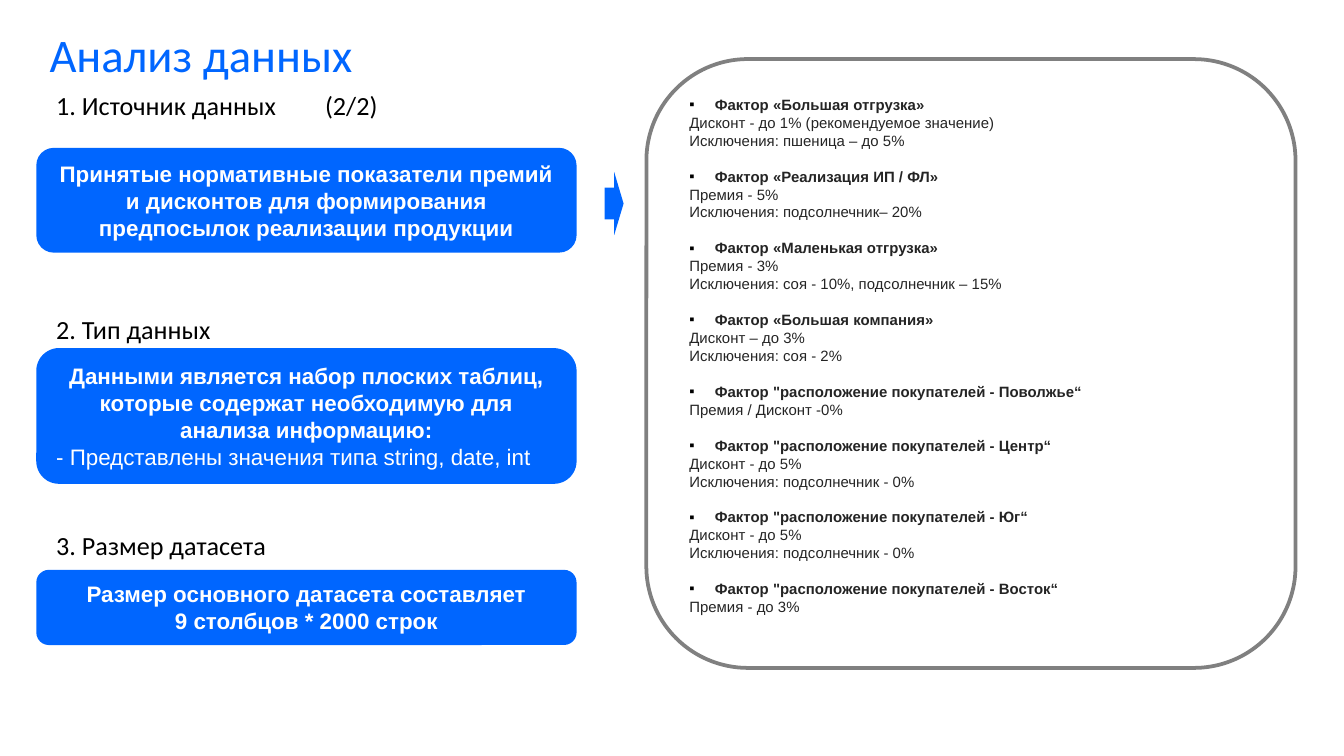
"""Build the data analysis slide: source, type and size beside the factor list."""
from dataclasses import dataclass

import pptx
import pptx.dml.color
import pptx.enum.shapes
import pptx.enum.text
import pptx.util
from lxml import etree
from pptx.oxml.ns import qn

Inches = pptx.util.Inches
Pt = pptx.util.Pt
Kind = pptx.enum.shapes.MSO_SHAPE
Align = pptx.enum.text.PP_ALIGN
Anchor = pptx.enum.text.MSO_ANCHOR


@dataclass(frozen=True)
class Theme:
    """Hold the colours, fonts and type sizes."""
    blue: str = "0066FF"
    white: str = "FFFFFF"
    black: str = "000000"
    ink: str = "242424"
    gray: str = "808080"
    head: str = "Calibri"
    body: str = "Arial"
    title: float = 25
    label: float = 14
    card: float = 12
    note: float = 8
    lead: float = 1.2


THEME = Theme()

CARDS = [
    (1.10, 0.78, ["Принятые нормативные показатели премий и дисконтов "
                  "для формирования предпосылок реализации продукции"], []),
    (2.59, 1.01, ["Данными является набор плоских таблиц, которые "
                  "содержат необходимую для анализа информацию:"],
     ["- Представлены значения типа string, date, int"]),
    (4.24, 0.56, ["Размер основного датасета составляет",
                  "9 столбцов * 2000 строк"], []),
]

FACTORS = [
    ("«Большая отгрузка»", "Дисконт - до 1% (рекомендуемое значение)",
     "Исключения: пшеница – до 5%"),
    ("«Реализация ИП / ФЛ»", "Премия - 5%", "Исключения: подсолнечник– 20%"),
    ("«Маленькая отгрузка»", "Премия - 3%",
     "Исключения: соя - 10%, подсолнечник – 15%"),
    ("«Большая компания»", "Дисконт – до 3%", "Исключения: соя - 2%"),
    ('"расположение покупателей - Поволжье“', "Премия / Дисконт -0%"),
    ('"расположение покупателей - Центр“', "Дисконт - до 5%",
     "Исключения: подсолнечник - 0%"),
    ('"расположение покупателей - Юг“', "Дисконт - до 5%",
     "Исключения: подсолнечник - 0%"),
    ('"расположение покупателей - Восток“', "Премия - до 3%"),
]


def rgb(code):
    """Turn a hex code into a colour."""
    return pptx.dml.color.RGBColor.from_string(code)


def write(frame, text, face, size, tint, bold=False, align=Align.LEFT, lead=None):
    """Append a styled paragraph, using the first one while it is empty."""
    para = frame.paragraphs[0]
    if para.text:
        para = frame.add_paragraph()
    para.text = text
    para.alignment = align
    para.line_spacing = lead or Pt(size * THEME.lead)
    font = para.font
    font.name, font.size, font.bold = face, Pt(size), bold
    font.color.rgb = rgb(tint)
    return para


def indent(para, left, first=0):
    """Set the left margin and first-line indent of a paragraph."""
    props = para._p.get_or_add_pPr()
    props.set("marL", str(Inches(left)))
    props.set("indent", str(Inches(first)))
    return props


def bullet(para):
    """Give a paragraph a hanging square bullet."""
    props = indent(para, 0.19, -0.19)
    tint = etree.Element(qn("a:buClr"))
    etree.SubElement(tint, qn("a:srgbClr"), val=THEME.black)
    face = etree.Element(qn("a:buFont"), typeface=THEME.body)
    mark = etree.Element(qn("a:buChar"), char="▪")
    spot = props.index(props.find(qn("a:defRPr")))
    props[spot:spot] = [tint, face, mark]


def field(slide, left, top, width, height, anchor=Anchor.TOP):
    """Add an empty text box and return its frame."""
    box = slide.shapes.add_textbox(
        Inches(left), Inches(top), Inches(width), Inches(height))
    frame = box.text_frame
    frame.word_wrap = True
    frame.vertical_anchor = anchor
    frame.margin_left = frame.margin_right = Inches(0.1)
    frame.margin_top = frame.margin_bottom = Inches(0.1)
    return frame


def label(frame, text, gap=0):
    """Add an indented section label below an optional gap in points."""
    para = write(frame, text, THEME.head, THEME.label, THEME.black,
                 align=Align.JUSTIFY, lead=1.15)
    para.space_before = Pt(gap)
    indent(para, 0.15)


def block(slide, kind, left, top, width, height, fill=None, line=None):
    """Add a flat preset shape with an optional fill and outline."""
    shape = slide.shapes.add_shape(
        kind, Inches(left), Inches(top), Inches(width), Inches(height))
    shape.shadow.inherit = False
    if fill:
        shape.fill.solid()
        shape.fill.fore_color.rgb = rgb(fill)
    else:
        shape.fill.background()
    if line:
        shape.line.color.rgb = rgb(line)
        shape.line.width = Pt(2)
    else:
        shape.line.fill.background()
    shape.text_frame.word_wrap = True
    return shape


def card(slide, top, height, heads, notes):
    """Add a blue card with bold centred lines and plain left ones."""
    shape = block(slide, Kind.ROUNDED_RECTANGLE, 0.27, top, 4.02, height, THEME.blue)
    frame = shape.text_frame
    frame.vertical_anchor = Anchor.MIDDLE
    for text in heads:
        write(frame, text, THEME.body, THEME.card, THEME.white, True, Align.CENTER)
    for text in notes:
        write(frame, text, THEME.body, THEME.card, THEME.white)


def panel(slide):
    """Add the outlined list of factors."""
    shape = block(slide, Kind.ROUNDED_RECTANGLE, 4.81, 0.44, 4.83, 4.53,
                  line=THEME.gray)
    frame = shape.text_frame
    frame.vertical_anchor = Anchor.TOP
    for rank, (name, *notes) in enumerate(FACTORS):
        para = write(frame, "Фактор " + name, THEME.body, THEME.note, THEME.ink, True)
        if rank:
            para.space_before = Pt(THEME.note * THEME.lead)
        bullet(para)
        for text in notes:
            write(frame, text, THEME.body, THEME.note, THEME.ink)


def main():
    """Build and save the slide."""
    deck = pptx.Presentation()
    deck.slide_width = Inches(10)
    deck.slide_height = deck.slide_width * 9 // 16
    slide = deck.slides.add_slide(deck.slide_layouts[6])
    lower = field(slide, 0.17, 1.09, 9.42, 3.18, Anchor.BOTTOM)
    label(lower, "2. Тип данных")
    label(lower, "3. Размер датасета", 96)
    title = field(slide, 0.27, 0.17, 9.22, 0.57)
    write(title, "Анализ данных", THEME.head, THEME.title, THEME.blue, lead=0.8)
    label(field(slide, 0.17, 0.53, 9.42, 0.47), "1. Источник данных\t(2/2)")
    card(slide, *CARDS[0])
    panel(slide)
    for item in CARDS[1:]:
        card(slide, *item)
    block(slide, Kind.RIGHT_ARROW, 4.5, 1.28, 0.14, 0.47, THEME.blue)
    deck.save("out.pptx")


if __name__ == "__main__":
    main()
